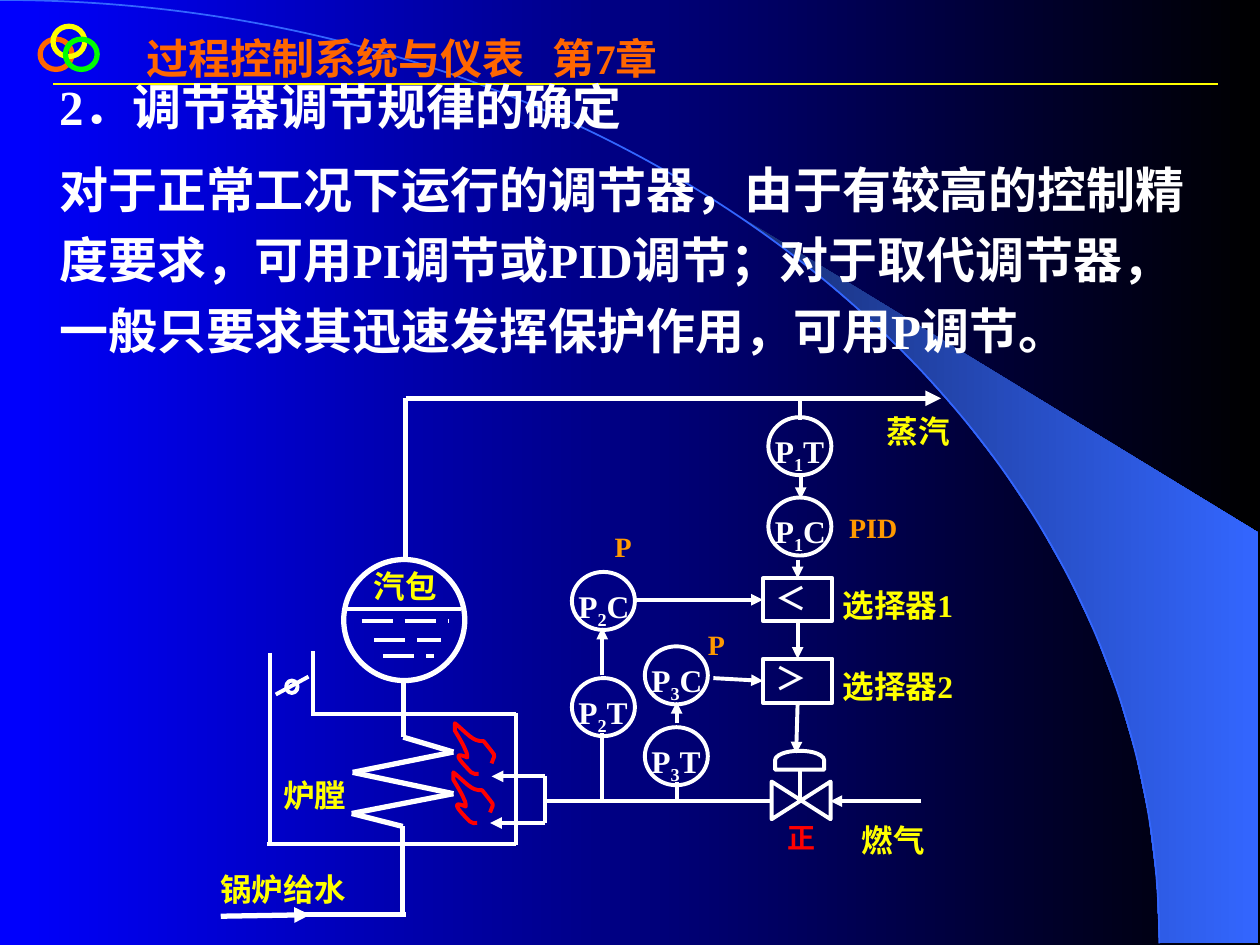
from itertools import pairwise

from lxml.etree import SubElement
from pptx import Presentation
from pptx.dml.color import RGBColor
from pptx.enum.dml import MSO_LINE_DASH_STYLE as DASH
from pptx.enum.shapes import MSO_CONNECTOR, MSO_SHAPE as SHAPE
from pptx.enum.text import MSO_ANCHOR as ANCHOR, MSO_AUTO_SIZE as AUTO_SIZE, PP_ALIGN as ALIGN
from pptx.oxml.ns import qn
from pptx.util import Cm, Pt

WHITE = RGBColor(0xFF, 0xFF, 0xFF)
BLACK = RGBColor(0x00, 0x00, 0x00)
BLUE = RGBColor(0x00, 0x00, 0xFF)
NAVY = RGBColor(0x18, 0x2F, 0x76)
SKY = RGBColor(0x33, 0x66, 0xFF)
YELLOW = RGBColor(0xFF, 0xFF, 0x00)
GREEN = RGBColor(0x00, 0xFF, 0x00)
RED = RGBColor(0xFF, 0x00, 0x00)
ORANGE = RGBColor(0xFF, 0x66, 0x00)
AMBER = RGBColor(0xFF, 0x99, 0x00)
LATIN, CJK = "Times New Roman", "Noto Sans CJK SC"

ARC = [(0, 0), (12.9, 0), (23.37, 8.51), (23.37, 19.02)]
FLAME = [(9.65, 15.6), (9.6, 15.6), (9.55, 15.62), (9.5, 15.57),
         (9.07, 15.14), (9.27, 15.21), (9.42, 15.27),
         (9.42, 15.19), (9.4, 15.14), (9.37, 15.09),
         (9.37, 15.06), (9.19, 14.76), (9.17, 14.73),
         (9.17, 14.66), (9.17, 14.63), (9.17, 14.58),
         (9.42, 14.78), (9.53, 14.96), (9.75, 14.94),
         (9.83, 15.04), (9.91, 15.14), (9.96, 15.21),
         (9.98, 15.29), (9.91, 15.32), (9.91, 15.39)]
COIL = [(8.13, 13.72), (8.13, 14.86), (9.14, 15.16), (7.11, 15.57),
        (9.14, 16), (7.09, 16.4), (8.12, 16.66), (8.12, 18.42)]
PIPES = [
    ((5.44, 13.16), (5.44, 17.02)), ((10.41, 14.38), (10.41, 17.04)),
    ((5.38, 17.02), (10.41, 17.02)), ((6.27, 14.4), (10.41, 14.4)),
    ((6.31, 14.4), (6.31, 13.13)), ((5.56, 14), (6.22, 13.64)),
    ((6.93, 12.27), (9.3, 12.27)), ((11.02, 16.15), (15.57, 16.15)),
    ((10.99, 15.65), (10.99, 16.59)), ((12.14, 16.15), (12.14, 14.78)),
    ((13.64, 15.77), (13.64, 16.13)), ((16.13, 8.05), (16.13, 8.46)),
    ((16.13, 15.52), (16.13, 16.15)),
]
FLOWS = [
    ((18.57, 16.15), (16.74, 16.15)), ((10.99, 16.59), (9.88, 16.59)),
    ((10.99, 15.65), (9.91, 15.65)), ((13.64, 14.58), (13.64, 14.15)),
    ((12.14, 13.61), (12.14, 12.65)), ((16.14, 9.53), (16.14, 10.06)),
]
WATER = [(7.29, 9.04, 12.52), (7.54, 8.89, 12.9), (7.72, 8.74, 13.22)]
INSTRUMENTS = [("1", "T", 15.49, 8.41), ("1", "C", 15.49, 10.03),
               ("2", "C", 11.53, 11.53), ("2", "T", 11.53, 13.67),
               ("3", "C", 13, 13.03), ("3", "T", 13, 14.66)]
PART_LABELS = [("燃气", 17.12, 16.28, 2.06), ("锅炉给水", 4.19, 17.27, 3.68),
               ("蒸汽", 17.63, 8.03, 2.24), ("汽包", 7.29, 11.15, 2.24),
               ("炉膛", 5.46, 15.37, 2.03), ("选择器1", 16.74, 11.53, 3.2),
               ("选择器2", 16.74, 13.16, 3.53)]
ACTION_LABELS = [("正", RED, 15.62, 16.28), ("P", AMBER, 14.02, 12.4),
                 ("P", AMBER, 12.14, 10.41), ("PID", AMBER, 16.87, 10.03)]


def write(paragraph, text, size=18, color=WHITE, font=LATIN, spacing=1.2,
          before=0, align=ALIGN.LEFT, baseline=0):
    paragraph.alignment = align
    paragraph.line_spacing = spacing
    paragraph.space_before = Pt(before)
    run = paragraph.add_run()
    run.text = text
    run.font.size = Pt(size)
    run.font.bold = True
    run.font.color.rgb = color
    run.font.name = font
    properties = run.font._element
    SubElement(properties, qn("a:ea"), typeface=CJK)
    if baseline:
        properties.set("baseline", str(baseline * 1000))


def place(shape, left, top, width, height):
    shape.left, shape.top, shape.width, shape.height = map(Cm, (left, top, width, height))


def set_frame(frame, anchor=ANCHOR.TOP):
    frame.word_wrap = True
    frame.auto_size = AUTO_SIZE.NONE
    frame.vertical_anchor = anchor
    return frame.paragraphs[0]


def add_label(slide, left, top, width, height):
    box = slide.shapes.add_textbox(*map(Cm, (left, top, width, height)))
    return set_frame(box.text_frame)


def add_outline(slide, kind, left, top, width, height, color=WHITE, weight=2.25, rotation=0):
    shape = slide.shapes.add_shape(kind, *map(Cm, (left, top, width, height)))
    shape.shadow.inherit = False
    shape.fill.background()
    shape.line.color.rgb = color
    shape.line.width = Pt(weight)
    shape.rotation = rotation
    return shape


def add_line(slide, start, end, color=WHITE, weight=2.25, dash=None, arrow=False):
    line = slide.shapes.add_connector(MSO_CONNECTOR.STRAIGHT, *map(Cm, start + end))
    line.line.color.rgb = color
    line.line.width = Pt(weight)
    if dash:
        line.line.dash_style = dash
    properties = line.element.spPr
    if arrow:
        SubElement(properties.find(qn("a:ln")), qn("a:tailEnd"), type="triangle")
    SubElement(properties, qn("a:effectLst"))
    return line


def add_outline_path(slide, points, close=False):
    corners = [(Cm(x), Cm(y)) for x, y in points]
    builder = slide.shapes.build_freeform(*corners[0])
    builder.add_line_segments(corners[1:], close=close)
    shape = builder.convert_to_shape()
    shape.shadow.inherit = False
    return shape


def add_curve(slide, points, color, weight):
    curve = add_outline_path(slide, points)
    segments = list(curve.element.iter(qn("a:lnTo")))
    outline = segments[0].getparent()
    for first in range(0, len(segments), 3):
        bend = SubElement(outline, qn("a:cubicBezTo"))
        for segment in segments[first:first + 3]:
            bend.append(segment[0])
            outline.remove(segment)
    curve.fill.background()
    curve.line.color.rgb = color
    curve.line.width = Pt(weight)


def points_on(curve, steps):
    for step in range(steps + 1):
        t = step / steps
        u = 1 - t
        yield tuple(u**3 * a + 3 * u * u * t * b + 3 * u * t * t * c + t**3 * d
                    for a, b, c, d in zip(*curve))


def fill_gradient(fill, *colors):
    fill.gradient()
    fill.gradient_angle = 0
    for stop, color in zip(fill.gradient_stops, colors):
        stop.color.rgb = color


def add_backdrop(slide):
    fill_gradient(slide.background.fill, BLUE, BLACK)
    inner_edge = [point for point in points_on(ARC, 24) if point[0] > 14.96]
    band = add_outline_path(
        slide, [(23.37, 19.02), (25.37, 19.02), (25.37, 10.74), (14.96, 4.39)] + inner_edge[:-1],
        close=True)
    fill_gradient(band.fill, NAVY, SKY)
    band.line.fill.background()
    add_curve(slide, ARC, SKY, 1)
    add_line(slide, (1.07, 1.69), (24.56, 1.69), YELLOW, 1.5)
    for color, left, top in [(ORANGE, 0.81, 0.79), (YELLOW, 1.07, 0.53), (GREEN, 1.32, 0.79)]:
        add_outline(slide, SHAPE.OVAL, left, top, 0.64, 0.61, color, 3)


def fill_placeholders(slide):
    title, body = slide.shapes.title, slide.placeholders[1]
    for placeholder in (title, body):
        slide.shapes.element.append(placeholder.element)
    place(title, 2.69, 0.53, 11.4, 2.29)
    heading = set_frame(title.text_frame)
    tabs = SubElement(heading._p.get_or_add_pPr(), qn("a:tabLst"))
    SubElement(tabs, qn("a:tab"), pos=str(Cm(8.2)), algn="l")
    write(heading, "过程控制系统与仪表\t第7章", size=24, color=ORANGE, spacing=1)

    place(body, 0.94, 1.17, 23.62, 6.2)
    topic = set_frame(body.text_frame, ANCHOR.MIDDLE)
    explanation = body.text_frame.add_paragraph()
    for paragraph in (topic, explanation):
        properties = paragraph._p.get_or_add_pPr()
        properties.set("marL", "0")
        properties.set("indent", "0")
        properties.set("hangingPunct", "0")
        SubElement(properties, qn("a:buNone"))
    write(topic, "2．调节器调节规律的确定", size=28)
    write(explanation, "对于正常工况下运行的调节器，由于有较高的控制精度要求，可用PI调节或PID调节；"
          "对于取代调节器，一般只要求其迅速发挥保护作用，可用P调节。", size=28, before=7)


def add_boiler(slide):
    add_outline(slide, SHAPE.OVAL, 6.93, 11.28, 2.44, 2.44, weight=3)
    add_outline(slide, SHAPE.FLOWCHART_CONNECTOR, 5.77, 13.72, 0.23, 0.25)
    for left, right, level in WATER:
        add_line(slide, (left, level), (right, level), dash=DASH.LONG_DASH)
    for start, end in pairwise(COIL):
        add_line(slide, start, end, weight=3)
    add_line(slide, (8.18, 18.44), (6.15, 18.44), weight=3)
    add_line(slide, (4.45, 18.47), (6.25, 18.44), weight=3, arrow=True)
    add_line(slide, (8.18, 11.28), (8.18, 8.03), weight=3)
    add_line(slide, (8.18, 8.03), (18.97, 8.03), weight=3, arrow=True)
    for dx, dy in [(0, 0), (-0.03, 0.99)]:
        add_curve(slide, [(x + dx, y + dy) for x, y in FLAME], RED, 2.25)


def add_selector(slide, sign, top, height):
    selector = add_outline(slide, SHAPE.RECTANGLE, 15.38, top, 1.4, height)
    write(set_frame(selector.text_frame), sign, font=CJK, spacing=0.85)
    return selector


def add_control_loop(slide):
    for start, end in PIPES:
        add_line(slide, start, end)
    for start, end in FLOWS:
        add_line(slide, start, end, arrow=True)
    low = add_selector(slide, "＜", 11.66, 0.86)
    high = add_selector(slide, "＞", 13.28, 0.89)
    for start, selector, side in [((16.08, 11.28), low, 0), ((12.78, 12.09), low, 1),
                                  ((14.38, 13.67), high, 1), ((16.08, 12.52), high, 0)]:
        signal = add_line(slide, start, start, arrow=True)
        signal.end_connect(selector, side)
    signal.begin_connect(low, 2)
    add_line(slide, (16.08, 14.17), (16.05, 15.19), arrow=True).begin_connect(high, 2)
    add_outline(slide, SHAPE.FLOWCHART_COLLATE, 15.77, 15.54, 0.76, 1.19, rotation=270)
    add_outline(slide, SHAPE.FLOWCHART_DELAY, 15.93, 14.83, 0.38, 0.99, rotation=270)
    for number, role, left, top in INSTRUMENTS:
        add_outline(slide, SHAPE.OVAL, left, top, 1.27, 1.17)
        tag = add_label(slide, left - 0.12, top, 1.63, 0.86)
        for text, baseline in [("P", 0), (number, -25), (role, 0)]:
            write(tag, text, baseline=baseline, align=ALIGN.JUSTIFY)


def add_captions(slide):
    for text, left, top, width in PART_LABELS:
        write(add_label(slide, left, top, width, 1.12), text, color=YELLOW, align=ALIGN.JUSTIFY)
    for text, color, left, top in ACTION_LABELS:
        write(add_label(slide, left, top, 1.5, 1.07), text, size=16, color=color)


def main():
    deck = Presentation()
    deck.slide_width, deck.slide_height = Cm(25.4), Cm(19.05)
    slide = deck.slides.add_slide(deck.slide_layouts[1])
    add_backdrop(slide)
    fill_placeholders(slide)
    add_boiler(slide)
    add_control_loop(slide)
    add_captions(slide)
    deck.save("out.pptx")


if __name__ == "__main__":
    main()
